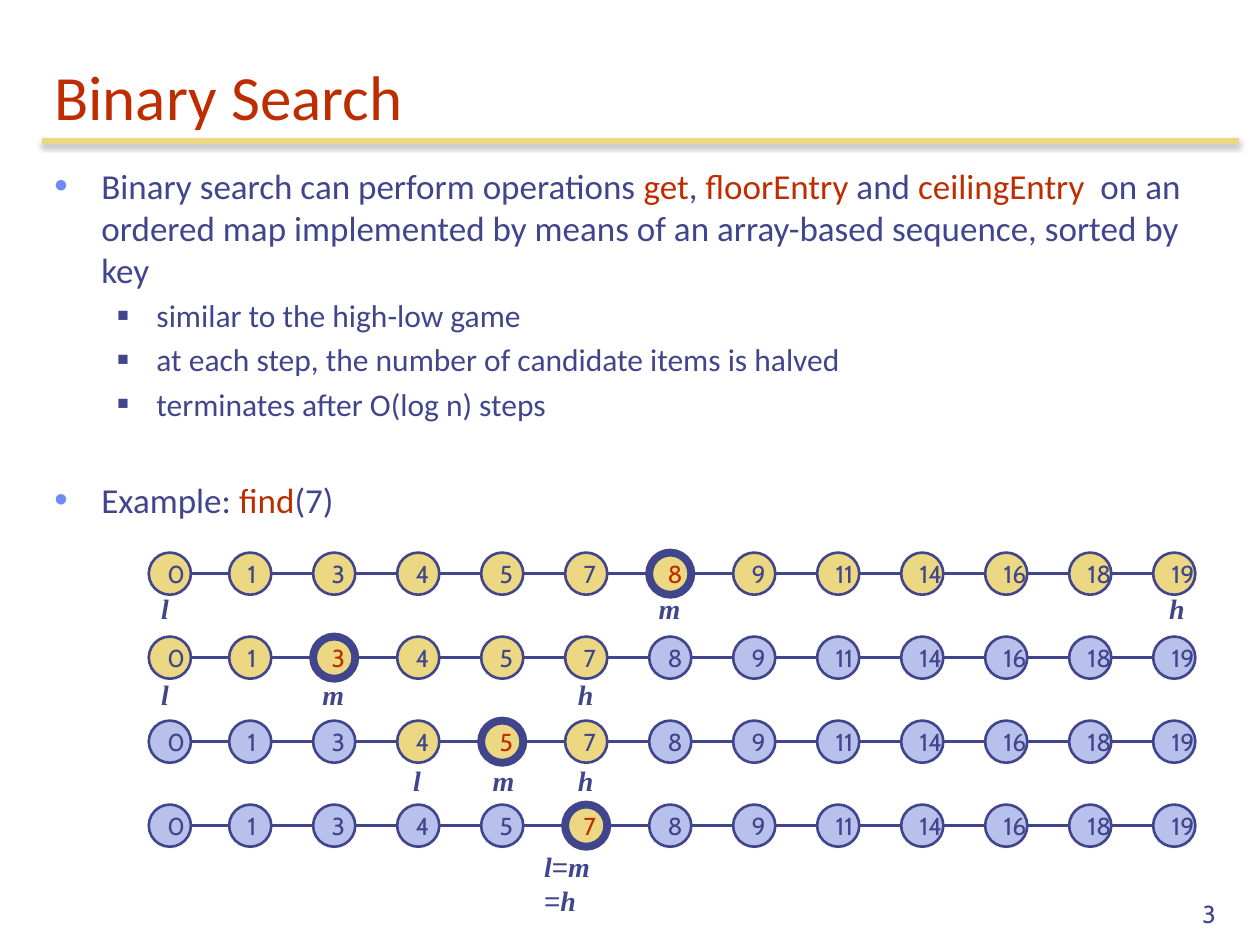
from lxml import etree
from pptx import Presentation
from pptx.dml.color import RGBColor
from pptx.enum.shapes import MSO_CONNECTOR, MSO_SHAPE
from pptx.enum.text import MSO_ANCHOR, MSO_AUTO_SIZE, PP_ALIGN
from pptx.oxml.ns import qn
from pptx.util import Cm, Pt

STRAIGHT = MSO_CONNECTOR.STRAIGHT
OVAL = MSO_SHAPE.OVAL
TOP, MIDDLE, BOTTOM = MSO_ANCHOR.TOP, MSO_ANCHOR.MIDDLE, MSO_ANCHOR.BOTTOM
LEFT, RIGHT = PP_ALIGN.LEFT, PP_ALIGN.RIGHT
NO_FIT = MSO_AUTO_SIZE.NONE

INDIGO = RGBColor(0x40, 0x45, 0x8C)
RED = RGBColor(0xBE, 0x2D, 0x00)
GOLD = RGBColor(0xEC, 0xD8, 0x82)
LAVENDER = RGBColor(0xB7, 0xC1, 0xEB)
BLUE = RGBColor(0x6F, 0x89, 0xF7)
BLACK = RGBColor(0, 0, 0)

SLIDE_W, SLIDE_H = 25.4, 19.05
PITCH = SLIDE_W / 15
NODE = 0.85
FIRST_LEFT, SECOND_LEFT, FIRST_TOP = 3.0, 4.62, 11.14
MARK_TOP, MARK_PITCH, MARK_H = 11.81, 1.73, 0.94

KEYS = [0, 1, 3, 4, 5, 7, 8, 9, 11, 14, 16, 18, 19]
STEPS = [
    {"low": 0, "mid": 8, "high": 19,
     "marks": [("m", 13.03, 0.97), ("l", 3.0, 0.66), ("h", 23.32, 0.81)]},
    {"low": 0, "mid": 3, "high": 7,
     "marks": [("m", 6.25, 0.97), ("l", 3.0, 0.66), ("h", 11.4, 0.81)]},
    {"low": 4, "mid": 5, "high": 7,
     "marks": [("m", 9.68, 0.97), ("l", 8.08, 0.66), ("h", 11.4, 0.81)]},
    {"low": 7, "mid": 7, "high": 7, "marks": [("l=m =h", 10.72, 2.1)]},
]
POINTS = [
    (0, None, [
        ("Binary search can perform operations ", INDIGO), ("get", RED),
        (", ", INDIGO), ("floorEntry", RED), (" and ", INDIGO),
        ("ceilingEntry", RED),
        ("  on an ordered map implemented by means of an array-based "
         "sequence, sorted by key", INDIGO)]),
    (1, None, [("similar to the high-low game", INDIGO)]),
    (1, None, [("at each step, the number of candidate items is halved", INDIGO)]),
    (1, None, [("terminates after O(log n) steps", INDIGO)]),
    (0, 32, [("Example: ", INDIGO), ("find", RED), ("(7)", INDIGO)]),
]
LEVELS = [
    {"size": 20, "indent": 0.95, "hang": 0.95, "bullet": "•",
     "color": BLUE, "percent": 110},
    {"size": 18, "indent": 2.06, "hang": 0.79, "bullet": "■",
     "color": INDIGO, "percent": 60},
]


def add_run(paragraph, text, *, size, font="Calibri", color=INDIGO,
            bold=False, italic=False):
    run = paragraph.add_run()
    run.text = text
    run.font.size = Pt(size)
    run.font.name = font
    run.font.color.rgb = color
    run.font.bold = bold
    run.font.italic = italic


def child(parent, tag, **attributes):
    return etree.SubElement(parent, qn(tag), attributes)


class SearchSlide:
    def __init__(self, slide):
        self.slide = slide
        self.shapes = slide.shapes

    def place(self, shape, left, top, width, height):
        shape.left, shape.top = Cm(left), Cm(top)
        shape.width, shape.height = Cm(width), Cm(height)

    def frame(self, shape, anchor, wrap=True):
        text_frame = shape.text_frame
        text_frame.auto_size = NO_FIT
        text_frame.word_wrap = wrap
        text_frame.vertical_anchor = anchor
        return text_frame

    def title(self, text):
        heading = self.shapes.title
        self.place(heading, 0.84, 0.84, 24.13, 1.98)
        paragraph = self.frame(heading, BOTTOM).paragraphs[0]
        paragraph.alignment = LEFT
        add_run(paragraph, text, size=36, color=RED)

    def points(self, points):
        body = self.slide.placeholders[1]
        self.place(body, 0.84, 3.18, 24.13, 14.4)
        text_frame = self.frame(body, TOP)
        for index, (level, gap, runs) in enumerate(points):
            paragraph = text_frame.add_paragraph() if index else text_frame.paragraphs[0]
            paragraph.level = level
            if gap:
                paragraph.space_before = Pt(gap)
            style = LEVELS[level]
            self.bullet(paragraph, style)
            for text, color in runs:
                add_run(paragraph, text, size=style["size"], color=color)

    def bullet(self, paragraph, style):
        properties = paragraph._p.get_or_add_pPr()
        properties.set("marL", str(Cm(style["indent"])))
        properties.set("indent", str(-Cm(style["hang"])))
        child(child(properties, "a:buClr"), "a:srgbClr", val=str(style["color"]))
        child(properties, "a:buSzPct", val=str(style["percent"] * 1000))
        child(properties, "a:buFont", typeface="Arial")
        child(properties, "a:buChar", char=style["bullet"])

    def rule(self, left, right, y, color, weight):
        line = self.shapes.add_connector(STRAIGHT, Cm(left), Cm(y), Cm(right), Cm(y))
        line.line.color.rgb = color
        line.line.width = Pt(weight)
        return child(line._element.spPr, "a:effectLst")

    def shadowed_rule(self, left, right, y, color, weight):
        effects = self.rule(left, right, y, color, weight)
        shadow = child(effects, "a:outerShdw", blurRad=str(Pt(3.1)),
                       dist=str(Pt(1.8)), dir="5400000", rotWithShape="0")
        shade = child(shadow, "a:srgbClr", val=str(BLACK))
        child(shade, "a:alpha", val="35000")

    def node(self, key, left, top, fill, is_mid):
        circle = self.shapes.add_shape(OVAL, Cm(left), Cm(top), Cm(NODE), Cm(NODE))
        circle.shadow.inherit = False
        circle.fill.solid()
        circle.fill.fore_color.rgb = fill
        circle.line.color.rgb = INDIGO
        circle.line.width = Pt(4.5 if is_mid else 1.5)
        paragraph = self.frame(circle, MIDDLE, wrap=False).paragraphs[0]
        paragraph.alignment = LEFT
        add_run(paragraph, str(key), size=14, font="Cabin",
                color=RED if is_mid else INDIGO)

    def label(self, left, top, width, height, anchor=TOP, align=LEFT):
        box = self.shapes.add_textbox(Cm(left), Cm(top), Cm(width), Cm(height))
        paragraph = self.frame(box, anchor).paragraphs[0]
        paragraph.alignment = align
        return paragraph

    def mark(self, text, left, top, width):
        paragraph = self.label(left, top, width, MARK_H)
        for index, part in enumerate(text.split("=")):
            if index:
                add_run(paragraph, "=", size=16, font="Arial")
            add_run(paragraph, part, size=16, font="Times New Roman",
                    bold=True, italic=True)

    def step(self, row, low, mid, high, marks):
        top = FIRST_TOP + row * PITCH
        self.rule(FIRST_LEFT + NODE, SECOND_LEFT + 11 * PITCH, top + NODE / 2,
                  INDIGO, 1.5)
        for column, key in enumerate(KEYS):
            left = SECOND_LEFT + (column - 1) * PITCH if column else FIRST_LEFT
            fill = GOLD if low <= key <= high else LAVENDER
            self.node(key, left, top, fill, key == mid)
        for text, left, width in marks:
            self.mark(text, left, MARK_TOP + row * MARK_PITCH, width)

    def page_number(self, number):
        paragraph = self.label(19.48, 17.58, 5.28, 1.27, anchor=BOTTOM, align=RIGHT)
        add_run(paragraph, number, size=14, font="Cabin")


def main():
    deck = Presentation()
    deck.slide_width, deck.slide_height = Cm(SLIDE_W), Cm(SLIDE_H)
    search = SearchSlide(deck.slides.add_slide(deck.slide_layouts[1]))
    search.shadowed_rule(0.84, 24.97, 2.84, GOLD, 3)
    search.title("Binary Search")
    search.points(POINTS)
    search.page_number("3")
    for row, bounds in enumerate(STEPS):
        search.step(row, **bounds)
    deck.save("out.pptx")


if __name__ == "__main__":
    main()
